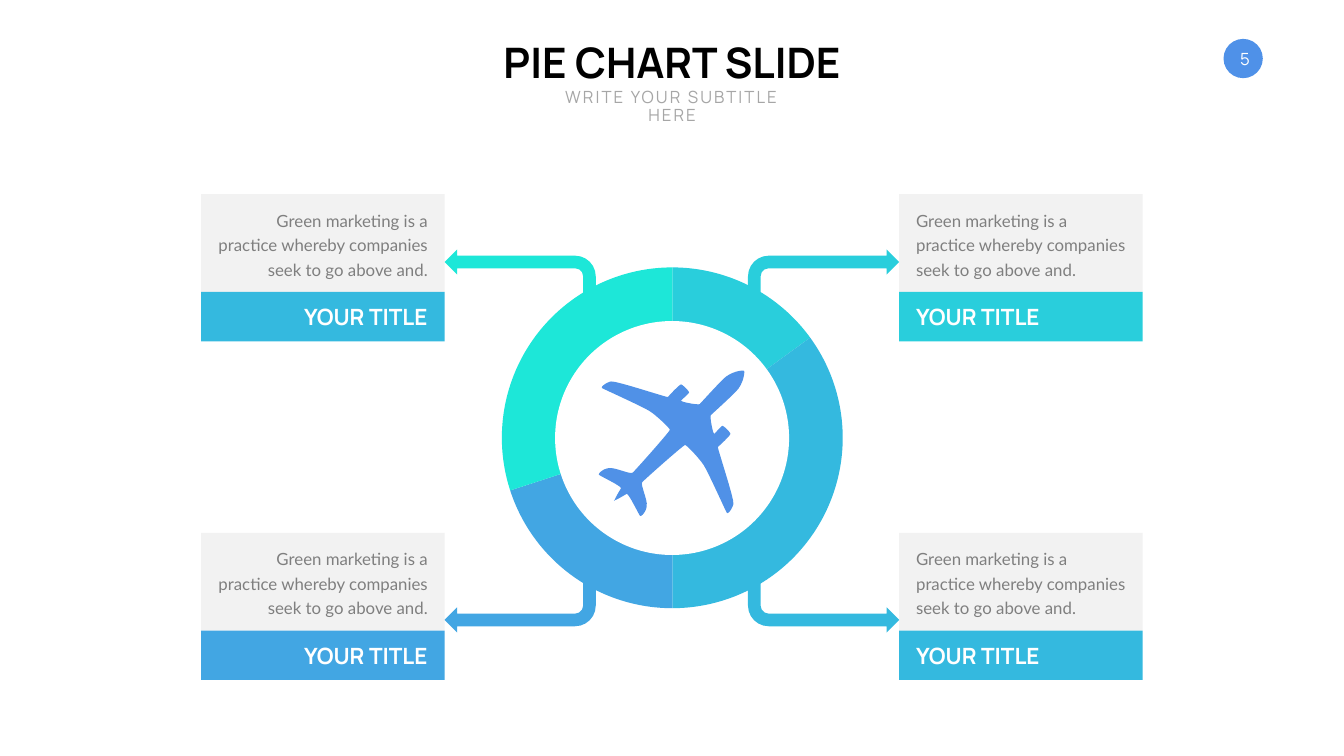
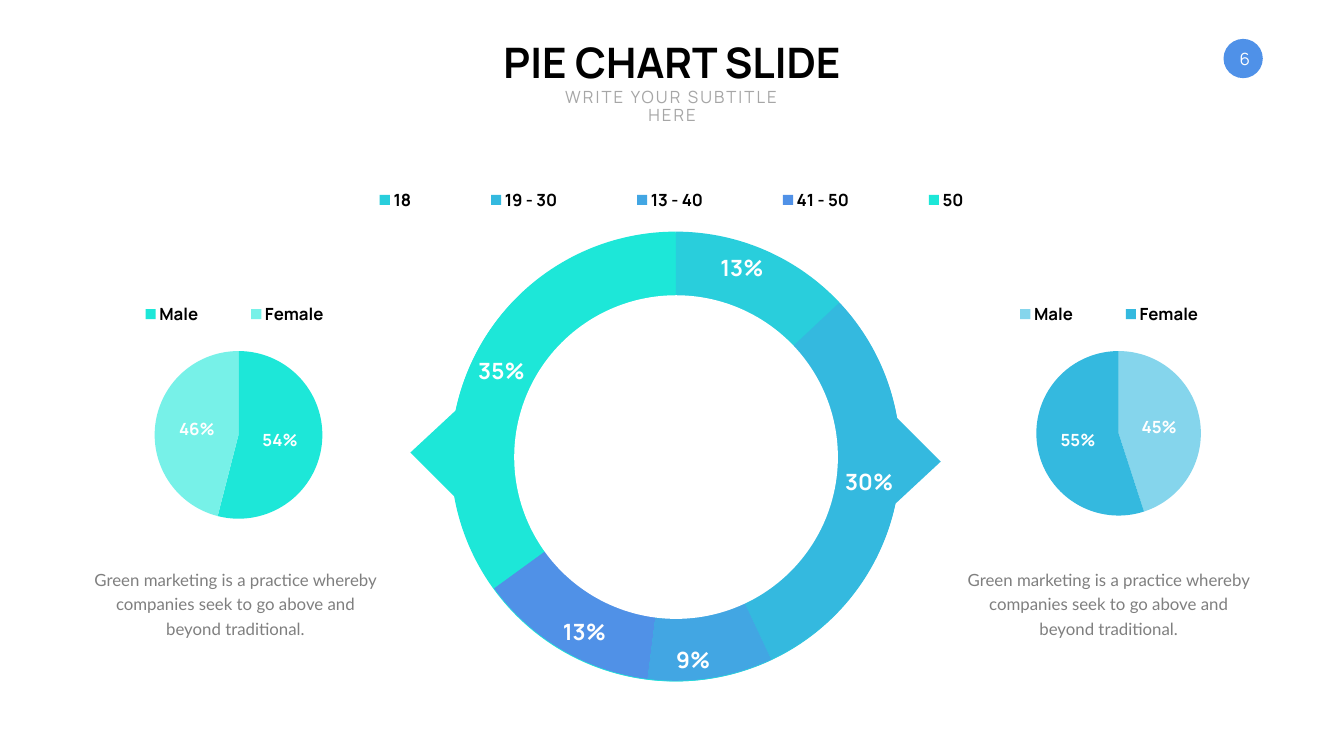
from lxml.etree import SubElement
from pptx import Presentation
from pptx.chart.data import CategoryChartData
from pptx.dml.color import RGBColor
from pptx.enum.chart import XL_CHART_TYPE, XL_LABEL_POSITION as LABEL, XL_LEGEND_POSITION
from pptx.enum.shapes import MSO_SHAPE as SHAPE
from pptx.enum.text import MSO_ANCHOR as ANCHOR, MSO_AUTO_SIZE, PP_ALIGN as ALIGN
from pptx.oxml.ns import qn
from pptx.oxml.xmlchemy import OxmlElement
from pptx.util import Cm, Pt

BLACK = RGBColor(0x00, 0x00, 0x00)
WHITE = RGBColor(0xFF, 0xFF, 0xFF)
PALE_GRAY = RGBColor(0xF2, 0xF2, 0xF2)
MID_GRAY = RGBColor(0xA6, 0xA6, 0xA6)
TEXT_GRAY = RGBColor(0x7F, 0x7F, 0x7F)
BADGE_BLUE = RGBColor(0x4F, 0x91, 0xE8)
BLUE = RGBColor(0x50, 0x91, 0xE7)
SKY = RGBColor(0x42, 0xA6, 0xE3)
AZURE = RGBColor(0x34, 0xB9, 0xDF)
CYAN = RGBColor(0x29, 0xCE, 0xDC)
TURQUOISE = RGBColor(0x1D, 0xE7, 0xD8)
PALE_TURQUOISE = RGBColor(0x77, 0xF1, 0xE8)
PALE_AZURE = RGBColor(0x85, 0xD5, 0xEC)

HEADING_FONT = "Manrope"
BODY_FONT = "Lato"

CARD_WIDTH, CARD_TEXT_HEIGHT, CARD_BAND_HEIGHT = 12.27, 4.93, 2.49
CARD_MARGIN = 0.6
ARROW_WIDTH, ARROW_HEIGHT = 7.62, 2.54
CARD_TEXT = "Green marketing is a practice whereby companies seek to go above and."
CAPTION = "Green marketing is a practice whereby companies seek to go above and beyond traditional."

PLANE_UNITS = 291
PLANE_NOSE = (289, 2)
PLANE_HALF = [
    (287, 0, 263, 3, 248, 18), (230, 36, 204, 65, 201, 68), (198, 70, 164, 64, 164, 61),
    (167, 58, 179, 47, 180, 45), (180, 42, 167, 29, 164, 29), (161, 29, 142, 49, 138, 54),
    (136, 55, 34, 21, 25, 23), (16, 25, 5, 33, 7, 36), (10, 38, 88, 73, 102, 82),
    (116, 91, 142, 116, 142, 119), (142, 122, 72, 201, 68, 204), (63, 208, 33, 193, 21, 195),
    (10, 196, 0, 205, 1, 208), (2, 210, 47, 231, 45, 235), (43, 238, 31, 258, 32, 260),
]


def place(shape, left, top, width, height):
    """Move and size a shape, in centimetres."""
    shape.left, shape.top = Cm(left), Cm(top)
    shape.width, shape.height = Cm(width), Cm(height)


def paint(shape, color):
    """Give a shape a flat fill without line or shadow."""
    shape.shadow.inherit = False
    shape.fill.solid()
    shape.fill.fore_color.rgb = color
    shape.line.fill.background()
    return shape


def add_block(slide, kind, box, color):
    """Add a flat preset shape in a box given in centimetres."""
    return paint(slide.shapes.add_shape(kind, *map(Cm, box)), color)


def write(shape, text, size, color, font=HEADING_FONT, bold=False, align=ALIGN.CENTER,
          anchor=ANCHOR.TOP, wrap=True):
    """Write one formatted run into a shape and return its paragraph and run."""
    frame = shape.text_frame
    frame.word_wrap = wrap
    frame.auto_size = MSO_AUTO_SIZE.SHAPE_TO_FIT_TEXT
    frame.vertical_anchor = anchor
    paragraph = frame.paragraphs[0]
    paragraph.alignment = align
    paragraph.space_before = Pt(0)
    run = paragraph.add_run()
    run.text = text
    run.font.name, run.font.size, run.font.bold = font, Pt(size), bold
    run.font.color.rgb = color
    return paragraph, run


def add_text(slide, box, text, size, color, **style):
    """Add a text box in a box given in centimetres."""
    shape = slide.shapes.add_textbox(*map(Cm, box))
    return shape, *write(shape, text, size, color, **style)


def add_body(slide, box, text, align, anchor):
    """Add a grey body paragraph with fixed line spacing."""
    paragraph = add_text(slide, box, text, 24, TEXT_GRAY, font=BODY_FONT, align=align, anchor=anchor)[1]
    paragraph.line_spacing = Pt(35)
    paragraph.space_before = Pt(4.8)


def add_page(presentation, number):
    """Add a slide with its title, subtitle and number badge."""
    slide = presentation.slides.add_slide(presentation.slide_layouts[0])
    title, subtitle = slide.placeholders
    place(title, 25.04, 1.7, 17.65, 2.82)
    write(title, "PIE CHART SLIDE", 60, BLACK, bold=True, wrap=False)
    place(subtitle, 26.97, 4.37, 13.79, 1.27)
    paragraph, run = write(subtitle, "WRITE YOUR SUBTITLE HERE", 24, MID_GRAY)
    paragraph.line_spacing = 0.9
    run.font._element.set("spc", "300")

    add_block(slide, SHAPE.OVAL, (61.65, 1.96, 1.98, 1.98), BADGE_BLUE)
    badge = add_text(slide, (61.85, 2.11, 1.75, 1.75), str(number), 24, WHITE,
                     anchor=ANCHOR.MIDDLE, wrap=False)[0]
    frame = badge.text_frame
    frame.margin_left = frame.margin_right = frame.margin_top = frame.margin_bottom = 0
    return slide


def manual_layout(x, y, width, height, inner=False):
    """Build a chart layout element from fractions of the chart area."""
    layout = OxmlElement("c:layout")
    manual = SubElement(layout, qn("c:manualLayout"))
    values = [("layoutTarget", "inner")] if inner else []
    values += [("xMode", "edge"), ("yMode", "edge"), ("x", x), ("y", y), ("w", width), ("h", height)]
    for name, value in values:
        SubElement(manual, qn(f"c:{name}")).set("val", str(value))
    return layout


def drop_layout(element):
    """Remove the layout a chart part already has."""
    for layout in element.findall(qn("c:layout")):
        element.remove(layout)


def add_pie(slide, box, slices, plot_area):
    """Add a pie from (category, value, colour) slices."""
    data = CategoryChartData()
    data.categories = [category for category, _, _ in slices]
    data.add_series("Series 1", [value for _, value, _ in slices])
    chart = slide.shapes.add_chart(XL_CHART_TYPE.PIE, *map(Cm, box), data).chart
    chart.has_title = False
    chart.has_legend = False
    chart.font.name, chart.font.size = "Calibri", Pt(10)
    chart.font.color.rgb = TEXT_GRAY
    chart.plots[0].vary_by_categories = True
    for index, (_, _, color) in enumerate(slices):
        fill = chart.plots[0].series[0].points[index].format.fill
        fill.solid()
        fill.fore_color.rgb = color
    area = chart._chartSpace.chart.plotArea
    drop_layout(area)
    area.insert(0, manual_layout(*plot_area, inner=True))
    return chart


def label_pie(chart, size, position, legend_top, legend_height):
    """Give a pie white percentages and a legend across its top."""
    chart.font.name, chart.font.size, chart.font.bold = HEADING_FONT, Pt(24), True
    chart.has_legend = True
    legend = chart.legend
    legend.position = XL_LEGEND_POSITION.TOP
    legend.include_in_layout = True
    legend.font.name, legend.font.size, legend.font.bold = HEADING_FONT, Pt(24), True
    legend.font.color.rgb = BLACK
    drop_layout(legend._element)
    legend._element.find(qn("c:legendPos")).addnext(manual_layout(0, legend_top, 1, legend_height))

    plot = chart.plots[0]
    plot.has_data_labels = True
    labels = plot.data_labels
    labels.show_percentage, labels.show_value = True, False
    labels.number_format, labels.number_format_is_linked = "0%", False
    labels.position = position
    labels.font.name, labels.font.size, labels.font.bold = HEADING_FONT, Pt(size), True
    labels.font.color.rgb = WHITE


def plane_outline(steps=8):
    """Trace one half of the plane and mirror it across its diagonal axis."""
    half = [PLANE_NOSE]
    for x1, y1, x2, y2, x3, y3 in PLANE_HALF:
        x0, y0 = half[-1]
        for step in range(1, steps + 1):
            t = step / steps
            u = 1 - t
            weights = (u ** 3, 3 * u * u * t, 3 * u * t * t, t ** 3)
            half.append((sum(w * x for w, x in zip(weights, (x0, x1, x2, x3))),
                         sum(w * y for w, y in zip(weights, (y0, y1, y2, y3)))))
    return half + [(PLANE_UNITS - y, PLANE_UNITS - x) for x, y in reversed(half)]


def add_plane(slide, left, top, side):
    """Draw the plane icon in a square."""
    points = [(Cm(left + x * side / PLANE_UNITS), Cm(top + y * side / PLANE_UNITS))
              for x, y in plane_outline()]
    builder = slide.shapes.build_freeform(*points[0])
    builder.add_line_segments(points[1:], close=True)
    paint(builder.convert_to_shape(), BLUE)


def add_card(slide, left, top, band_color, on_left):
    """Add a text card with a coloured title band."""
    align = ALIGN.RIGHT if on_left else ALIGN.LEFT
    title_width = 6.81
    title_left = left + (CARD_WIDTH - CARD_MARGIN - title_width if on_left else CARD_MARGIN)
    add_block(slide, SHAPE.RECTANGLE, (left, top, CARD_WIDTH, CARD_TEXT_HEIGHT), PALE_GRAY)
    add_block(slide, SHAPE.RECTANGLE,
              (left, top + CARD_TEXT_HEIGHT, CARD_WIDTH, CARD_BAND_HEIGHT), band_color)
    add_body(slide, (left + CARD_MARGIN, top + 0.53, CARD_WIDTH - 2 * CARD_MARGIN, 3.86),
             CARD_TEXT, align, ANCHOR.MIDDLE)
    add_text(slide, (title_left, top + 5.36, title_width, 1.63), "YOUR TITLE", 32, WHITE,
             bold=True, align=align, anchor=ANCHOR.MIDDLE, wrap=False)


def add_bent_arrow(slide, left, top, color, flip_h, flip_v):
    """Add a bent arrow that leads from the ring to a card."""
    arrow = add_block(slide, SHAPE.BENT_ARROW, (left, top, ARROW_WIDTH, ARROW_HEIGHT), color)
    for index, value in enumerate((0.25, 0.25, 0.25, 0.41)):
        arrow.adjustments[index] = value
    transform = arrow._element.spPr.find(qn("a:xfrm"))
    for name, flipped in (("flipH", flip_h), ("flipV", flip_v)):
        if flipped:
            transform.set(name, "1")


def build_ring_slide(presentation):
    """Build the ring with a plane and four cards."""
    slide = add_page(presentation, 5)
    slices = [("1", 15, CYAN), ("2", 35, AZURE), ("3", 20, SKY), ("4", 30, TURQUOISE)]
    add_pie(slide, (25.2, 13.39, 17.35, 17.35), slices, (0.005, 0.005, 0.99, 0.99))
    add_block(slide, SHAPE.OVAL, (27.97, 16.18, 11.79, 11.79), WHITE)
    add_plane(slide, 30.15, 18.64, 7.39)
    left, right, upper, lower = 10.13, 45.31, 9.78, 26.85
    corners = [
        (left, upper, AZURE, TURQUOISE), (left, lower, SKY, SKY),
        (right, lower, AZURE, AZURE), (right, upper, CYAN, CYAN),
    ]
    for x, y, band_color, arrow_color in corners:
        on_left, below = x == left, y == lower
        add_card(slide, x, y, band_color, on_left)
        arrow_left = x + CARD_WIDTH if on_left else x - ARROW_WIDTH
        arrow_top = y + (2.49 if below else 2.79)
        add_bent_arrow(slide, arrow_left, arrow_top, arrow_color, on_left, below)


def add_gender_pie(slide, left, caption_left, slices, plot_area):
    """Add a small pie with its caption below."""
    chart = add_pie(slide, (left, 13.67, 13.74, 14.42), slices, plot_area)
    label_pie(chart, 24, LABEL.CENTER, 0.1, 0.1)
    add_body(slide, (caption_left, 28.35, 15.14, 3.86), CAPTION, ALIGN.CENTER, ANCHOR.TOP)


def build_age_slide(presentation):
    """Build the age ring between two gender pies."""
    slide = add_page(presentation, 6)
    for left, color, rotation in ((22.76, AZURE, 0), (22.71, TURQUOISE, 180)):
        callout = add_block(slide, SHAPE.OVAL_CALLOUT, (left, 11.73, 22.61, 22.61), color)
        callout.adjustments[0], callout.adjustments[1] = 0.59, 0.01
        callout.rotation = rotation
    ages = [("18", 13, CYAN), ("19 - 30", 30, AZURE), ("13 - 40", 9, SKY),
            ("41 - 50", 13, BLUE), ("50", 35, TURQUOISE)]
    chart = add_pie(slide, (15.39, 9.19, 36.91, 25.35), ages, (0.19, 0.098, 0.631, 0.893))
    label_pie(chart, 32, LABEL.INSIDE_END, 0, 0.07)
    add_block(slide, SHAPE.OVAL, (25.91, 14.88, 16.31, 16.31), WHITE)
    add_gender_pie(slide, 4.95, 4.29, [("Male", 54, TURQUOISE), ("Female", 46, PALE_TURQUOISE)],
                   (0.203, 0.279, 0.623, 0.586))
    add_gender_pie(slide, 49.02, 48.29, [("Male", 45, PALE_AZURE), ("Female", 55, AZURE)],
                   (0.223, 0.279, 0.623, 0.575))


def main():
    """Build both slides and save them."""
    presentation = Presentation()
    presentation.slide_width, presentation.slide_height = Cm(67.72), Cm(38.1)
    build_ring_slide(presentation)
    build_age_slide(presentation)
    presentation.save("out.pptx")


if __name__ == "__main__":
    main()
